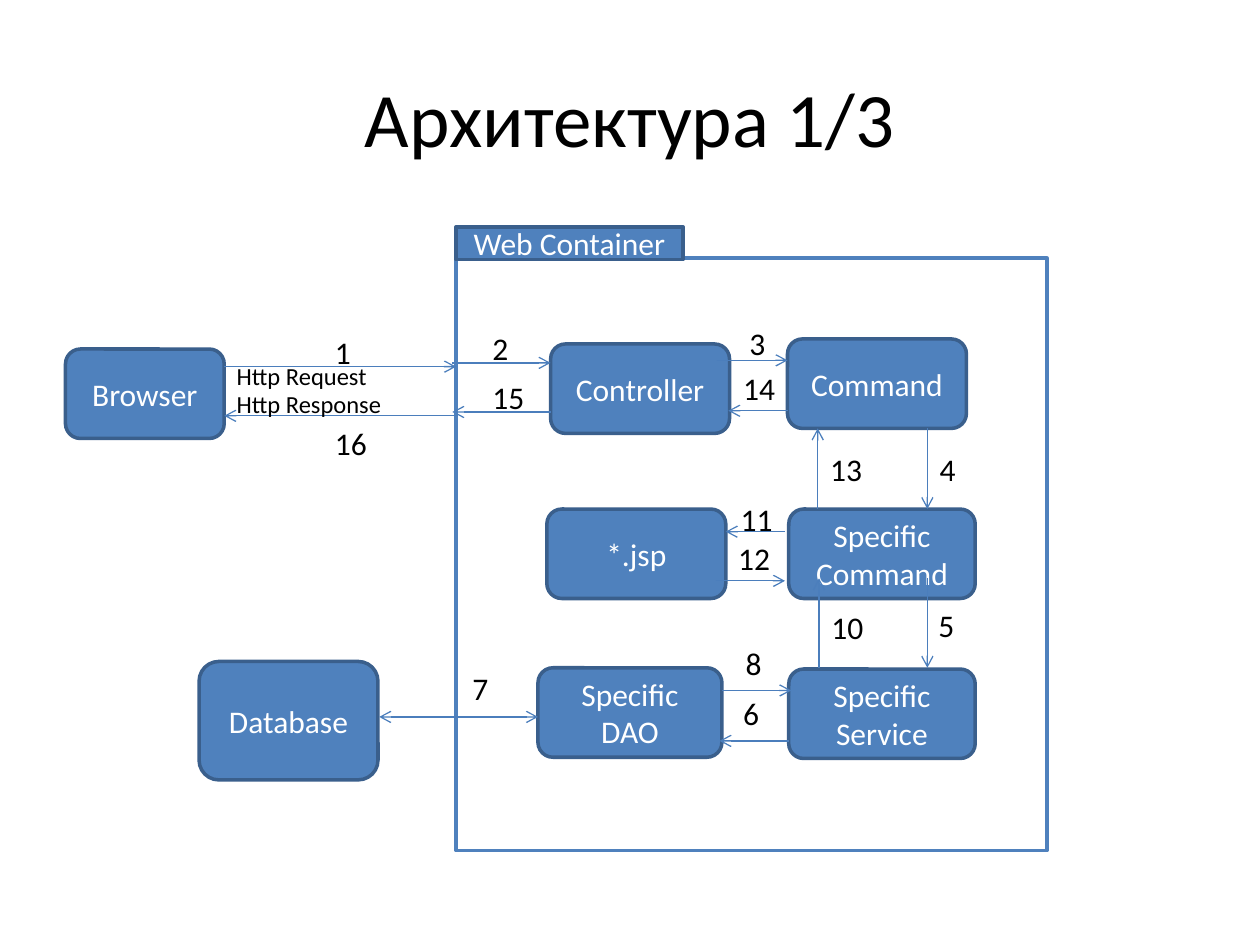
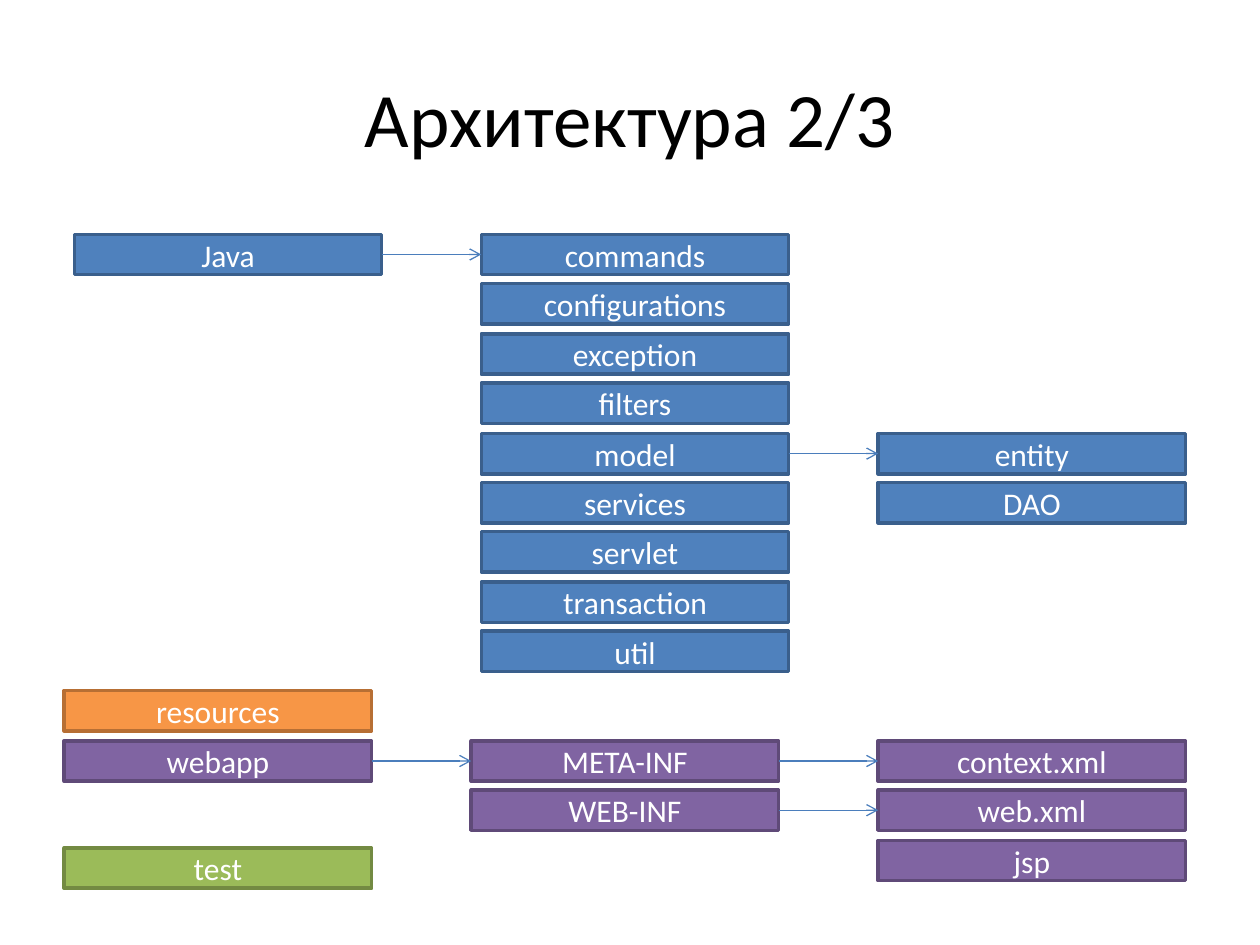
from typing import NamedTuple

from lxml.etree import SubElement
from pptx import Presentation
from pptx.dml.color import RGBColor
from pptx.enum.shapes import MSO_CONNECTOR as Link, MSO_SHAPE as Preset
from pptx.enum.text import MSO_ANCHOR as Anchor, MSO_AUTO_SIZE as AutoSize, PP_ALIGN as Align
from pptx.oxml.ns import qn
from pptx.shapes.autoshape import Shape
from pptx.shapes.connector import Connector
from pptx.slide import Slide
from pptx.text.text import TextFrame
from pptx.util import Emu, Pt

EMU_PER_PX = 9144  # 100 px to the inch
FONT = "Calibri"
BLACK = "000000"
WHITE = "FFFFFF"
ARROW_COLOR = "4B7EBC"
RIGHT_SIDE, LEFT_SIDE = 3, 1
ROW_PITCH = 39.4
COLUMN_LEFTS = (51, 374, 697)
JAVA_SHIFT = 8


class Palette(NamedTuple):
    fill: str
    line: str


BLUE = Palette("4F81BD", "3A5F8C")
ORANGE = Palette("F79646", "B76F34")
PURPLE = Palette("8064A2", "5F4A78")
GREEN = Palette("9BBB59", "738A42")
FRAME = Palette(WHITE, "4F81BD")


class Area(NamedTuple):
    left: int
    top: int
    width: int
    height: int


class Node(NamedTuple):
    text: str
    area: Area


class Arrow(NamedTuple):
    x1: int
    y1: int
    x2: int
    y2: int
    two_way: bool = False


class Step(NamedTuple):
    """A step number with the place of its label and its arrow."""
    number: int
    left: int
    top: int
    arrow: Arrow


TITLE_AREA = Area(50, 30, 900, 125)
SERVER_FRAME = Area(362, 205, 469, 470)
SERVER_TAB = Node("Web Container", Area(362, 180, 180, 26))

NODES = (
    Node("Browser", Area(52, 277, 126, 71)),
    Node("Controller", Area(437, 273, 142, 71)),
    Node("Command", Area(625, 269, 142, 71)),
    Node("Specific Command", Area(626, 404, 148, 71)),
    Node("Specific Service", Area(626, 531, 148, 71)),
    Node("Specific DAO", Area(427, 530, 146, 71)),
    Node("Database", Area(158, 525, 142, 94)),
    Node("*.jsp", Area(434, 404, 142, 71)),
)

STEPS = (
    Step(1, 256, 259, Arrow(178, 291, 362, 291)),
    Step(2, 381, 256, Arrow(359, 288, 437, 288)),
    Step(3, 585, 252, Arrow(569, 286, 625, 286)),
    Step(4, 736, 352, Arrow(736, 340, 736, 404)),
    Step(5, 735, 476, Arrow(736, 459, 736, 530)),
    Step(6, 580, 546, Arrow(626, 588, 571, 588)),
    Step(7, 365, 526, Arrow(301, 569, 427, 569, two_way=True)),
    Step(8, 582, 506, Arrow(573, 548, 628, 548)),
    Step(10, 650, 478, Arrow(650, 530, 650, 459)),
    Step(11, 578, 392, Arrow(623, 422, 576, 422)),
    Step(12, 576, 423, Arrow(568, 461, 623, 461)),
    Step(13, 649, 352, Arrow(649, 404, 649, 340)),
    Step(14, 580, 288, Arrow(625, 326, 578, 326)),
    Step(15, 381, 295, Arrow(437, 327, 359, 327)),
    Step(16, 256, 332, Arrow(362, 330, 178, 330)),
)

HTTP_LABELS = (
    Node("Http Request", Area(178, 282, 125, 34)),
    Node("Http Response", Area(178, 304, 137, 34)),
)

JAVA_PACKAGES = ("commands", "configurations", "exception", "filters", "model",
                 "services", "servlet", "transaction", "util")


def px(length: int) -> Emu:
    return Emu(length * EMU_PER_PX)


def scaled(area: Area) -> list[Emu]:
    return [px(length) for length in area]


def rgb(color: str) -> RGBColor:
    return RGBColor.from_string(color)


def write(frame: TextFrame, text: str, size: int, color: str, align: Align) -> None:
    para = frame.paragraphs[0]
    para.alignment = align
    span = para.add_run()
    span.text = text
    span.font.name = FONT
    span.font.size = Pt(size)
    span.font.color.rgb = rgb(color)


def add_title(page: Slide, text: str) -> None:
    frame = page.shapes.add_textbox(*scaled(TITLE_AREA)).text_frame
    frame.word_wrap = True
    frame.vertical_anchor = Anchor.MIDDLE
    write(frame, text, 44, BLACK, Align.CENTER)


def add_label(page: Slide, node: Node, size: int) -> None:
    frame = page.shapes.add_textbox(*scaled(node.area)).text_frame
    frame.word_wrap = False
    frame.auto_size = AutoSize.SHAPE_TO_FIT_TEXT
    write(frame, node.text, size, BLACK, Align.LEFT)


def add_box(page: Slide, area: Area, palette: Palette, text: str = "",
            preset: Preset = Preset.RECTANGLE) -> Shape:
    box = page.shapes.add_shape(preset, *scaled(area))
    box.shadow.inherit = False
    box.fill.solid()
    box.fill.fore_color.rgb = rgb(palette.fill)
    box.line.color.rgb = rgb(palette.line)
    box.line.width = Pt(2)
    if text:
        box.text_frame.word_wrap = True
        box.text_frame.vertical_anchor = Anchor.MIDDLE
        write(box.text_frame, text, 18, WHITE, Align.CENTER)
    return box


def add_arrow(page: Slide, arrow: Arrow) -> Connector:
    ends = (px(arrow.x1), px(arrow.y1), px(arrow.x2), px(arrow.y2))
    connector = page.shapes.add_connector(Link.STRAIGHT, *ends)
    connector.line.color.rgb = rgb(ARROW_COLOR)
    connector.line.width = Pt(0.75)
    properties = connector.element.spPr
    for tag in ("a:headEnd", "a:tailEnd") if arrow.two_way else ("a:tailEnd",):
        SubElement(properties.find(qn("a:ln")), qn(tag), type="arrow")
    SubElement(properties, qn("a:effectLst"))
    return connector


def join(page: Slide, source: Shape, target: Shape) -> None:
    """Lead an arrow from the right side of source to the left side of target."""
    connector = add_arrow(page, Arrow(0, 0, 0, 0))
    connector.begin_connect(source, RIGHT_SIDE)
    connector.end_connect(target, LEFT_SIDE)


def add_stack(page: Slide, left: int, top: int, palette: Palette, *names: str) -> list[Shape]:
    """Draw boxes one below another at the common row pitch."""
    return [add_box(page, Area(left, top + round(row * ROW_PITCH), 244, 32), palette, name)
            for row, name in enumerate(names)]


def build_request_flow(page: Slide) -> None:
    add_title(page, "Архитектура 1/3")
    add_box(page, SERVER_FRAME, FRAME)
    add_box(page, SERVER_TAB.area, BLUE, SERVER_TAB.text)
    for node in NODES:
        add_box(page, node.area, BLUE, node.text, Preset.ROUNDED_RECTANGLE)
    for step in STEPS:
        add_arrow(page, step.arrow)
        width = 33 if step.number < 10 else 46
        add_label(page, Node(str(step.number), Area(step.left, step.top, width, 40)), 18)
    for label in HTTP_LABELS:
        add_label(page, label, 14)


def build_folder_tree(page: Slide) -> None:
    add_title(page, "Архитектура 2/3")
    first, second, third = COLUMN_LEFTS

    [java] = add_stack(page, first + JAVA_SHIFT, 186, BLUE, "Java")
    packages = add_stack(page, second + JAVA_SHIFT, 186, BLUE, *JAVA_PACKAGES)
    model = packages[JAVA_PACKAGES.index("model")]
    entity, _ = add_stack(page, third, 344, BLUE, "entity", "DAO")
    join(page, java, packages[0])
    join(page, model, entity)

    add_stack(page, first, 548, ORANGE, "resources")
    add_stack(page, first, 673, GREEN, "test")
    [webapp] = add_stack(page, first, 588, PURPLE, "webapp")
    folders = add_stack(page, second, 588, PURPLE, "META-INF", "WEB-INF")
    files = add_stack(page, third, 588, PURPLE, "context.xml", "web.xml", "jsp")
    join(page, webapp, folders[0])
    for folder, file in zip(folders, files):
        join(page, folder, file)


def main() -> None:
    deck = Presentation()
    deck.slide_width, deck.slide_height = px(1000), px(750)
    blank = deck.slide_layouts[6]
    for build in (build_request_flow, build_folder_tree):
        build(deck.slides.add_slide(blank))
    deck.save("out.pptx")


if __name__ == "__main__":
    main()
